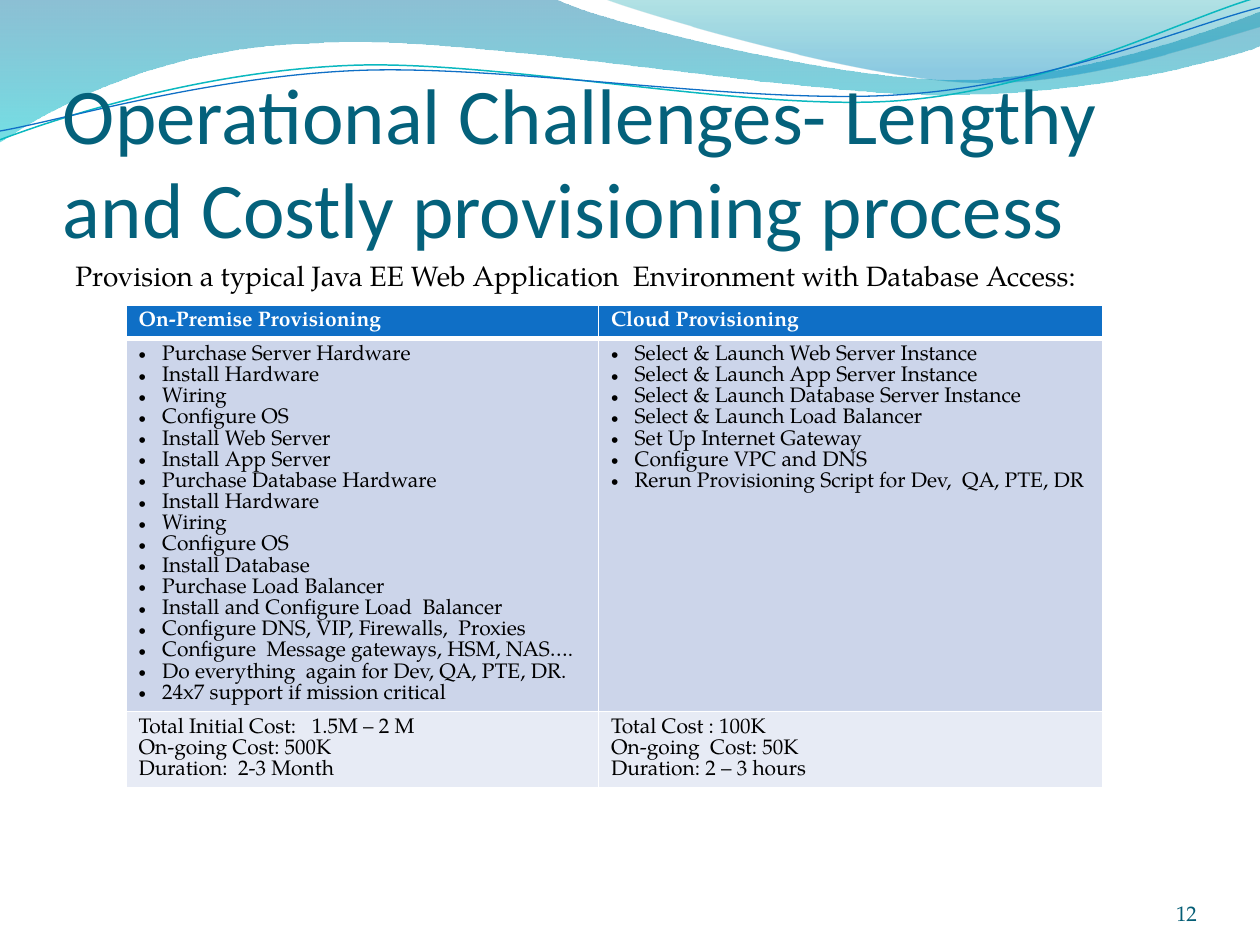
import math
from dataclasses import dataclass
from typing import Optional

import lxml.etree
import pptx
import pptx.dml.color
import pptx.enum.text
import pptx.oxml.ns
import pptx.util

Inches, Pt = pptx.util.Inches, pptx.util.Pt
ANCHOR, ALIGN = pptx.enum.text.MSO_ANCHOR, pptx.enum.text.PP_ALIGN
qn = pptx.oxml.ns.qn

COLORS = {
    "title": "04617B", "number": "045D75", "text": "000000", "white": "FFFFFF",
    "header": "0F6FC6", "band": "CCD5EA", "light": "E7EBF5",
    "teal_line": "0AB8BF", "blue_line": "0F6FC6",
    "deep": "0074A1", "aqua": "00C6CF", "teal": "00A1A9", "sky": "008BBF",
}
SERIF = "TeX Gyre Pagella"


def rgb(name: str) -> pptx.dml.color.RGBColor:
    return pptx.dml.color.RGBColor.from_string(COLORS[name])


@dataclass
class Wave:
    """Path of 2-number line steps and 6-number curve steps, in inches."""
    start: tuple
    steps: list
    stops: tuple = ()  # (position, colour, opacity %)
    line: Optional[tuple] = None  # (colour, points)
    turn: float = 0  # clockwise degrees


@dataclass
class Label:
    box: tuple
    text: str
    font: dict
    insets: tuple
    anchor: object = ANCHOR.TOP
    align: object = ALIGN.LEFT


@dataclass
class Row:
    height: float  # least height, the text makes it grow
    fill: str
    cells: tuple  # lines of each column
    color: str = "text"
    bold: bool = False
    bullets: bool = False
    top: float = 1  # border widths in points
    bottom: float = 1


WAVES = [
    Wave((0, 0), [(4.4, -0.01), (4.76, 0.17, 6.64, 0.63, 7.58, 0.63),
                  (8.53, 0.63, 9.58, 0.26, 10, 0.09), (10.01, 0.36),
                  (9.83, 0.44, 8.7, 0.76, 7.46, 0.75),
                  (6.22, 0.75, 3.82, 0.28, 2.57, 0.34),
                  (1.29, 0.36, 0.46, 0.83, -0.01, 1.13), (0, 0)],
         stops=((0, "deep", 45), (1, "aqua", 55))),
    Wave((4.79, -0.01), [(5.09, 0.11, 6.82, 0.62, 7.69, 0.65),
                         (8.56, 0.69, 9.61, 0.32, 10, 0.21), (10, 0), (4.79, -0.01)],
         stops=((0, "teal", 30), (0.8, "sky", 45))),
    Wave((0, 1.11), [(0.48, 0.93, 1.58, 0.57, 2.77, 0.52),
                     (3.95, 0.47, 5.93, 0.89, 7.13, 0.8),
                     (8.33, 0.71, 9.38, 0.15, 9.98, -0.02)],
         line=("teal_line", 0.85), turn=-2.7),
    Wave((0, 1.04), [(0.47, 0.96, 1.64, 0.61, 2.83, 0.56),
                     (4.03, 0.51, 5.97, 0.84, 7.17, 0.75),
                     (8.36, 0.67, 9.41, 0.21, 10, 0.06)],
         line=("blue_line", 0.75), turn=-2.7),
]

LABELS = [
    Label((0.5, 0.77, 9, 1.25),
          "Operational Challenges- Lengthy and Costly provisioning process",
          {"name": "Calibri", "size": Pt(45), "color": "title"},
          (0, 0.05, 0, 0), ANCHOR.BOTTOM),
    Label((0.5, 2, 9, 4.8),
          "Provision a typical Java EE Web Application  Environment with Database Access:",
          {"name": SERIF, "size": Pt(16), "color": "text"}, (0.1, 0.05, 0.1, 0.05)),
    Label((8.67, 6.95, 0.83, 0.4), "12",
          {"name": SERIF, "size": Pt(12), "color": "number"},
          (0, 0, 0, 0), ANCHOR.BOTTOM, ALIGN.RIGHT),
]

COLUMNS = (3.75, 4)
ROWS = [
    Row(0.25, "header", (["On-Premise Provisioning"], ["Cloud Provisioning"]),
        color="white", bold=True, bottom=3),
    Row(0.41, "band", (
        ["Purchase Server Hardware", "Install Hardware", "Wiring", "Configure OS",
         "Install Web Server", "Install App Server", "Purchase Database Hardware",
         "Install Hardware", "Wiring", "Configure OS", "Install Database",
         "Purchase Load Balancer", "Install and Configure Load  Balancer",
         "Configure DNS, VIP, Firewalls,  Proxies",
         "Configure  Message gateways, HSM, NAS….",
         "Do everything  again for Dev, QA, PTE, DR.",
         "24x7 support if mission critical"],
        ["Select & Launch Web Server Instance", "Select & Launch App Server Instance",
         "Select & Launch Database Server Instance", "Select & Launch Load Balancer",
         "Set Up Internet Gateway", "Configure VPC and DNS",
         "Rerun Provisioning Script for Dev,  QA, PTE, DR"]), bullets=True, top=3),
    Row(0.41, "light", (
        ["Total Initial Cost:   1.5M – 2 M", "On-going Cost: 500K", "Duration:  2-3 Month"],
        ["Total Cost : 100K", "On-going  Cost: 50K", "Duration: 2 – 3 hours"])),
]


def add_run(p, text: str, font: dict) -> None:
    r = p.add_run()
    r.text = text
    for key, value in font.items():
        if key == "color":
            r.font.color.rgb = rgb(value)
        else:
            setattr(r.font, key, value)


def wave_points(wave: Wave) -> list:
    """All path points, with the turn undone that the shape's rotation applies."""
    pts = [wave.start]
    for step in wave.steps:
        pts += zip(step[::2], step[1::2])
    a, cx, cy = math.radians(-wave.turn), 5, 0.58
    return [(Inches(cx + (x - cx) * math.cos(a) - (y - cy) * math.sin(a)),
             Inches(cy + (x - cx) * math.sin(a) + (y - cy) * math.cos(a)))
            for x, y in pts]


def bend(sp, steps: list) -> None:
    """Join the three line steps of each curve into one Bezier step."""
    lines = iter(list(sp._element.spPr.iter(qn("a:lnTo"))))
    for step in steps:
        parts = [next(lines) for _ in range(len(step) // 2)]
        if len(parts) == 1:
            continue
        curve = lxml.etree.Element(qn("a:cubicBezTo"))
        parts[0].addprevious(curve)
        for part in parts:
            curve.append(part[0])
            part.getparent().remove(part)


def draw_wave(s, wave: Wave) -> None:
    pts = wave_points(wave)
    builder = s.shapes.build_freeform(*pts[0], scale=1.0)
    builder.add_line_segments(pts[1:], close=bool(wave.stops))
    sp = builder.convert_to_shape()
    bend(sp, wave.steps)
    sp.shadow.inherit = False
    sp.rotation = wave.turn
    if wave.line:
        sp.fill.background()
        sp.line.color.rgb, sp.line.width = rgb(wave.line[0]), Pt(wave.line[1])
        return
    sp.line.fill.background()
    sp.fill.gradient()
    sp.fill.gradient_angle = 270
    for stop, (position, color, _) in zip(sp.fill.gradient_stops, wave.stops):
        stop.position, stop.color.rgb = position, rgb(color)
    for node, (_, _, opacity) in zip(sp._element.spPr.iter(qn("a:srgbClr")), wave.stops):
        lxml.etree.SubElement(node, qn("a:alpha"), val=str(opacity * 1000))


def draw_label(s, label: Label) -> None:
    tf = s.shapes.add_textbox(*map(Inches, label.box)).text_frame
    tf.word_wrap, tf.vertical_anchor = True, label.anchor
    for side, inset in zip(("left", "top", "right", "bottom"), label.insets):
        setattr(tf, f"margin_{side}", Inches(inset))
    tf.paragraphs[0].alignment = label.align
    add_run(tf.paragraphs[0], label.text, label.font)


def draw_cell(cell, lines: list, row: Row) -> None:
    tcPr = cell._tc.get_or_add_tcPr()
    for side, width in (("L", 1), ("R", 1), ("T", row.top), ("B", row.bottom)):
        ln = lxml.etree.SubElement(tcPr, qn(f"a:ln{side}"), w=str(Pt(width)))
        fill = lxml.etree.SubElement(ln, qn("a:solidFill"))
        lxml.etree.SubElement(fill, qn("a:srgbClr"), val=COLORS["white"])
    cell.fill.solid()
    cell.fill.fore_color.rgb = rgb(row.fill)
    font = {"name": SERIF, "size": Pt(12), "bold": row.bold, "color": row.color}
    tf = cell.text_frame
    for i, line in enumerate(lines):
        p = tf.add_paragraph() if i else tf.paragraphs[0]
        if row.bullets:
            pPr = p._p.get_or_add_pPr()
            pPr.set("marL", str(Inches(3 / 16)))
            pPr.set("indent", str(-Inches(3 / 16)))
            lxml.etree.SubElement(pPr, qn("a:buFont"), typeface="Arial")
            lxml.etree.SubElement(pPr, qn("a:buChar"), char="•")
        p.line_spacing = Pt(12.1)
        add_run(p, line, font)


def draw_table(s) -> None:
    frame = s.shapes.add_table(len(ROWS), len(COLUMNS), Inches(1), Inches(2.42),
                               Inches(sum(COLUMNS)), Inches(4.5))
    table = frame.table
    for column, width in zip(table.columns, COLUMNS):
        column.width = Inches(width)
    for i, row in enumerate(ROWS):
        table.rows[i].height = Inches(row.height)
        for j, lines in enumerate(row.cells):
            draw_cell(table.cell(i, j), lines, row)
    frame.height = Inches(4.5)


prs = pptx.Presentation()
prs.slide_width, prs.slide_height = Inches(10), Inches(7.5)
s = prs.slides.add_slide(prs.slide_layouts[6])

# Waves along the top edge
for wave in WAVES:
    draw_wave(s, wave)
# Title, lead sentence and page number
for label in LABELS:
    draw_label(s, label)
# Comparison of the two ways of provisioning
draw_table(s)

prs.save("out.pptx")
